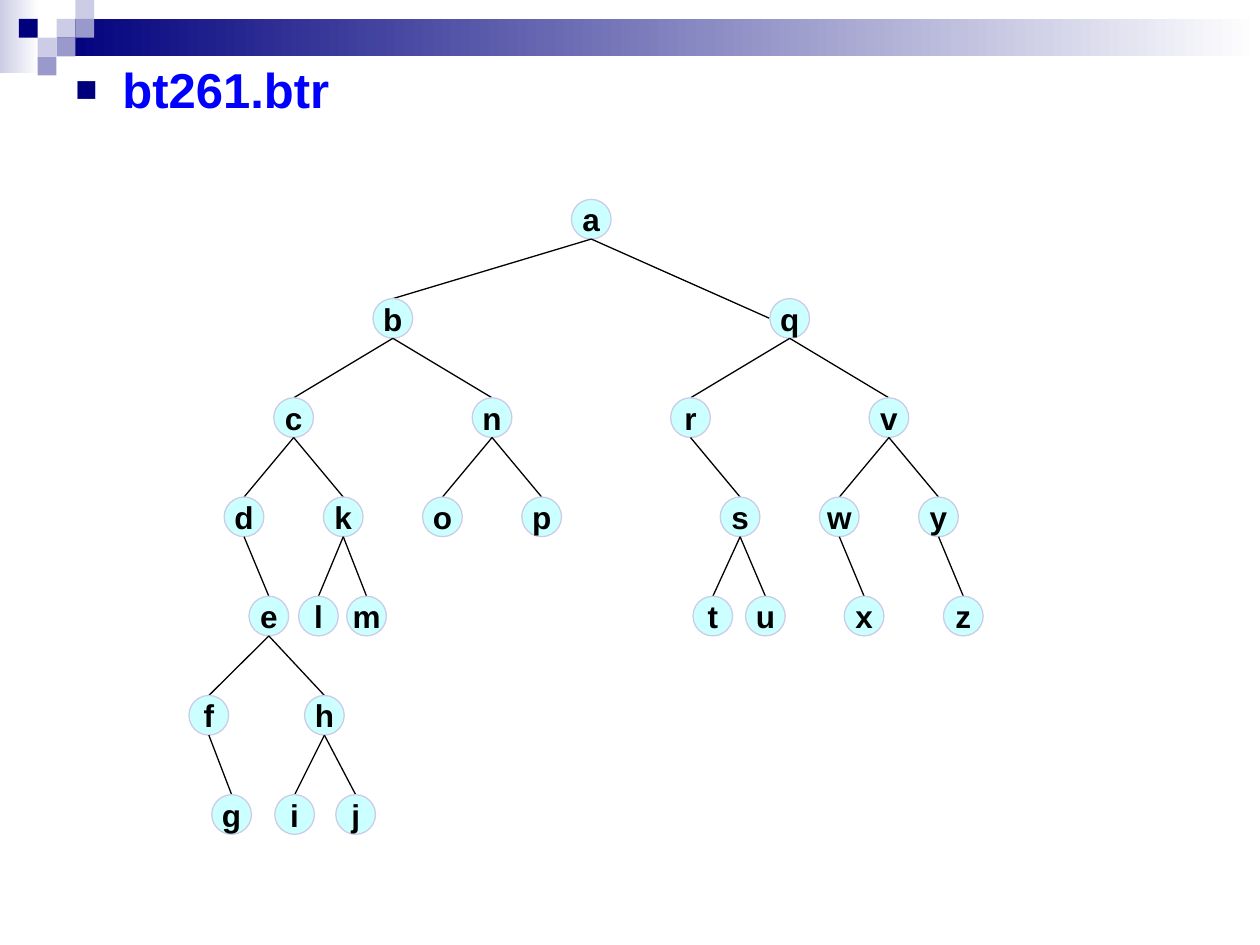
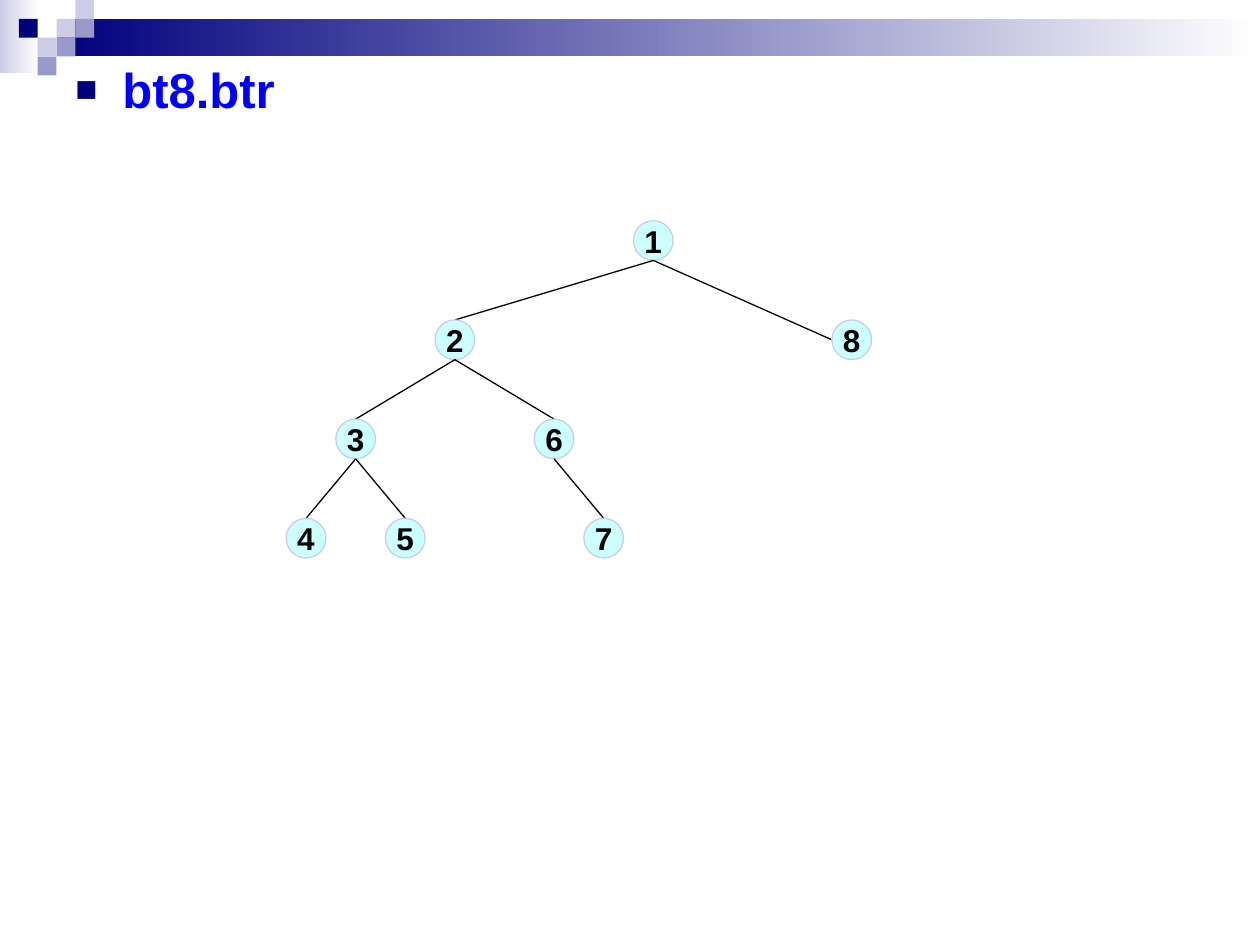
from dataclasses import dataclass

from lxml.etree import SubElement
from pptx import Presentation
from pptx.dml.color import RGBColor
from pptx.enum.shapes import MSO_CONNECTOR as Connector, MSO_SHAPE as Shape
from pptx.enum.text import MSO_ANCHOR as Anchor, PP_ALIGN as Align
from pptx.oxml.ns import qn
from pptx.util import Cm, Pt


@dataclass(frozen=True)
class Theme:
    navy: RGBColor = RGBColor.from_string("00007D")
    lavender: RGBColor = RGBColor.from_string("CCCCE6")
    violet: RGBColor = RGBColor.from_string("9999CC")
    white: RGBColor = RGBColor.from_string("FFFFFF")
    black: RGBColor = RGBColor.from_string("000000")
    title: RGBColor = RGBColor.from_string("0000FF")
    node: RGBColor = RGBColor.from_string("CCFFFF")
    font: str = "Arial"
    title_size: Pt = Pt(28)
    node_size: Pt = Pt(18)
    thin: Pt = Pt(0.75)


PAGE_WIDTH, PAGE_HEIGHT = 25.4, 19.05
TILE = 0.38
NODE = 0.8
LEVEL = 2
ROOT_SHIFT = 4

LETTERS = {
    "a": ("b", "q"), "b": ("c", "n"), "q": ("r", "v"),
    "c": ("d", "k"), "n": ("o", "p"), "r": (None, "s"), "v": ("w", "y"),
    "d": (None, "e"), "k": ("l", "m"), "s": ("t", "u"),
    "w": (None, "x"), "y": (None, "z"),
    "e": ("f", "h"), "f": (None, "g"), "h": ("i", "j"),
}
LETTER_SHIFTS = {"m": 0.47, "t": -0.55, "u": 0.51, "f": -1.21,
                 "h": 1.12, "g": 0.46, "i": -0.6, "j": 0.63}
DIGITS = {"1": ("2", "8"), "2": ("3", "6"), "3": ("4", "5"), "6": (None, "7")}


class TreeDeck:
    """Draws titled binary trees on pages that share one style."""

    def __init__(self, theme):
        self.theme = theme
        self.deck = Presentation()
        self.deck.slide_width, self.deck.slide_height = Cm(PAGE_WIDTH), Cm(PAGE_HEIGHT)
        self.page = None

    def add_page(self, title):
        self.page = self.deck.slides.add_slide(self.deck.slide_layouts[6])
        self.add_header()
        self.add_title(title)

    def add_block(self, kind, left, top, width, height, *colors):
        block = self.page.shapes.add_shape(kind, Cm(left), Cm(top), Cm(width), Cm(height))
        block.shadow.inherit = False
        block.line.fill.background()
        if len(colors) == 1:
            block.fill.solid()
            block.fill.fore_color.rgb = colors[0]
        else:
            block.fill.gradient()
            block.fill.gradient_angle = 0
            for stop, color in zip(block.fill.gradient_stops, colors):
                stop.color.rgb = color
        return block

    def add_header(self):
        theme = self.theme
        band_left = 3 * TILE
        self.add_block(Shape.RECTANGLE, 0, 0, 0.79, 1.47, theme.lavender, theme.white)
        self.add_block(Shape.RECTANGLE, band_left, TILE, PAGE_WIDTH - band_left, 2 * TILE,
                       theme.navy, theme.white)
        tiles = {theme.lavender: [(3, 1), (4, 0), (2, 2)],
                 theme.violet: [(4, 1), (3, 2), (2, 3)],
                 theme.navy: [(1, 1)]}
        for color, cells in tiles.items():
            for column, row in cells:
                self.add_block(Shape.RECTANGLE, column * TILE, row * TILE, TILE, TILE, color)

    def style_text(self, para, size, color):
        font = para.font
        font.name, font.size, font.bold = self.theme.font, size, True
        font.color.rgb = color

    def add_title(self, text):
        box = self.page.shapes.add_textbox(Cm(1.27), Cm(1.07), Cm(23.06), Cm(1.6))
        box.text_frame.word_wrap = True
        para = box.text_frame.paragraphs[0]
        para.text = text
        para.space_before = Pt(5.6)
        props = para._p.get_or_add_pPr()
        props.set("marL", str(Cm(0.95)))
        props.set("indent", str(-Cm(0.95)))
        bullet_color = SubElement(props, qn("a:buClr"))
        SubElement(bullet_color, qn("a:srgbClr"), val=str(self.theme.navy))
        SubElement(props, qn("a:buSzPct"), val="75000")
        SubElement(props, qn("a:buFont"), typeface=self.theme.font)
        SubElement(props, qn("a:buChar"), char="■")
        self.style_text(para, self.theme.title_size, self.theme.title)

    def add_node(self, label, center, top):
        node = self.add_block(Shape.OVAL, center - NODE / 2, top, NODE, NODE, self.theme.node)
        node.line.color.rgb = self.theme.lavender
        node.line.width = self.theme.thin
        frame = node.text_frame
        frame.word_wrap = False
        frame.vertical_anchor = Anchor.MIDDLE
        frame.margin_left = frame.margin_right = frame.margin_top = frame.margin_bottom = 0
        para = frame.paragraphs[0]
        para.text = label
        para.alignment = Align.CENTER
        self.style_text(para, self.theme.node_size, self.theme.black)

    def add_branch(self, start, end):
        branch = self.page.shapes.add_connector(
            Connector.STRAIGHT, *map(Cm, start), *map(Cm, end))
        branch.line.color.rgb = self.theme.black
        branch.line.width = self.theme.thin
        SubElement(branch._element.spPr, qn("a:effectLst"))

    def add_tree(self, children, label, center, top, shifts, depth=0):
        self.add_node(label, center, top)
        for side, child in zip((-1, 1), children.get(label, ())):
            if child is None:
                continue
            child_center = center + shifts.get(child, side * ROOT_SHIFT / 2 ** depth)
            child_top = top + LEVEL
            end = (child_center, child_top)
            if depth == 0 and side == 1:
                end = (child_center - NODE / 2, child_top + NODE / 2)
            self.add_branch((center, top + NODE), end)
            self.add_tree(children, child, child_center, child_top, shifts, depth + 1)


def main():
    trees = TreeDeck(Theme())
    trees.add_page("bt261.btr")
    trees.add_tree(LETTERS, "a", 11.92, 4.02, LETTER_SHIFTS)
    trees.add_page("bt8.btr")
    trees.add_tree(DIGITS, "1", 13.17, 4.45, {})
    trees.deck.save("out.pptx")


if __name__ == "__main__":
    main()
